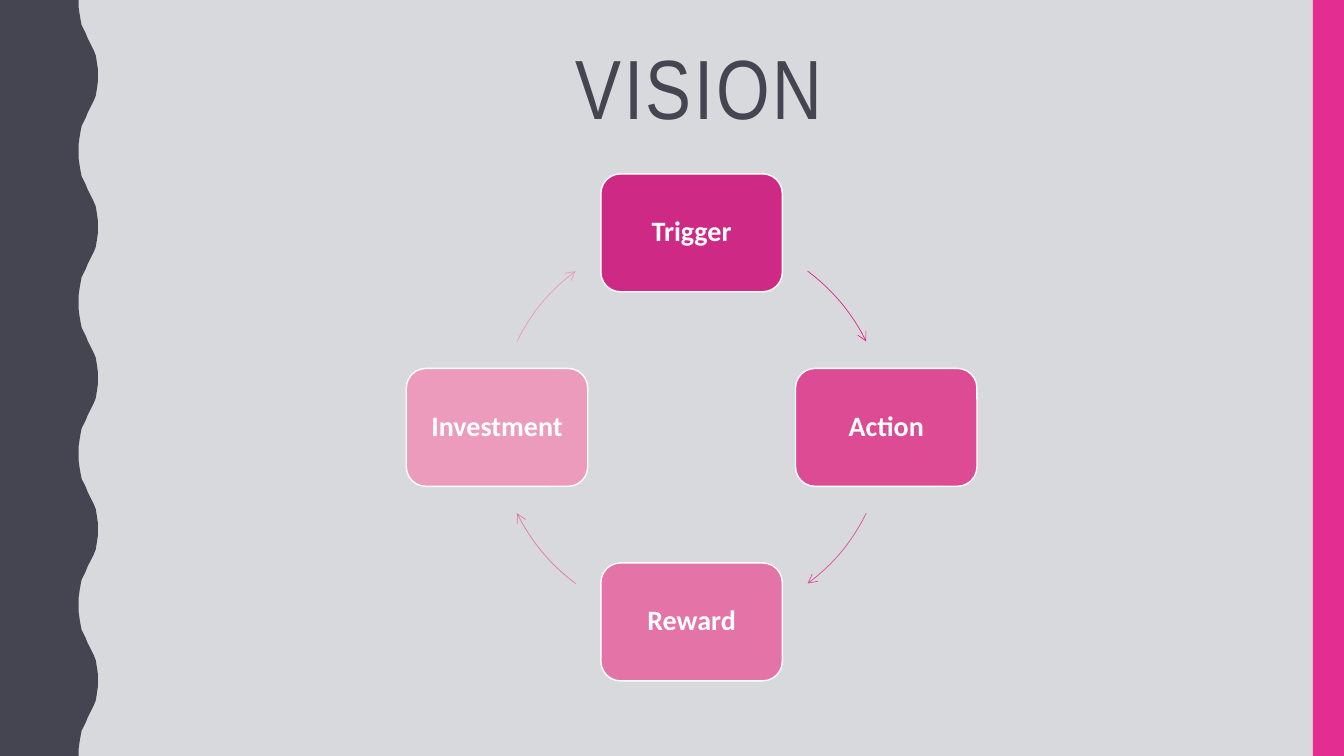
from lxml.etree import SubElement
from pptx import Presentation
from pptx.dml.color import RGBColor
from pptx.enum.shapes import MSO_SHAPE
from pptx.enum.text import MSO_ANCHOR, PP_ALIGN
from pptx.oxml.ns import qn
from pptx.util import Inches, Pt

COLORS = {
    "background": "D8D9DC",
    "dark": "454551",
    "accent": "E32D91",
    "white": "FFFFFF",
}
# Label, box fill, colour of the arrow leaving the box, arrow start and end in degrees
STAGES = [
    ("Trigger", "CE2984", "D92B8B", 306.6, 333.8),
    ("Action", "DC4B94", "DF5098", 26.2, 53.4),
    ("Reward", "E473A7", "E575A8", 126.6, 153.8),
    ("Investment", "EC9BBC", "EC9ABC", 206.2, 233.4),
]
DIRECTIONS = [(0, -1), (1, 0), (0, 1), (-1, 0)]
# Crest profile from trough to peak: x and distance down
HALF_WAVE = [
    (0.78, 0), (0.78, 0.07), (0.79, 0.14), (0.8, 0.2), (0.81, 0.25),
    (0.83, 0.29), (0.85, 0.33), (0.87, 0.38), (0.89, 0.42), (0.91, 0.46),
    (0.93, 0.5), (0.95, 0.55), (0.96, 0.61), (0.97, 0.68), (0.97, 0.75),
]
WAVE_LENGTH = 1.5
NODE_WIDTH, NODE_HEIGHT = 1.8, 1.17


def rgb(value):
    return RGBColor.from_string(value)


def paint(shape, fill):
    shape.shadow.inherit = False
    shape.fill.solid()
    shape.fill.fore_color.rgb = rgb(fill)
    shape.line.fill.background()


def add_wavy_band(slide, height):
    wave = HALF_WAVE + [(x, WAVE_LENGTH - y) for x, y in HALF_WAVE[-2:0:-1]]
    edge = [(x, y + WAVE_LENGTH * number)
            for number in range(round(height / WAVE_LENGTH)) for x, y in wave]
    corners = [(HALF_WAVE[0][0], height), (0, height)]
    builder = slide.shapes.build_freeform(0, 0)
    builder.add_line_segments([(Inches(x), Inches(y)) for x, y in edge + corners], close=True)
    paint(builder.convert_to_shape(), COLORS["dark"])


def add_side_bar(slide, left, top, width, height):
    bar = slide.shapes.add_shape(
        MSO_SHAPE.RECTANGLE, Inches(left), Inches(top), Inches(width), Inches(height))
    paint(bar, COLORS["accent"])


def write_text(frame, text, font_name, size, color, bold=False):
    frame.word_wrap = True
    paragraph = frame.paragraphs[0]
    paragraph.text = text
    paragraph.alignment = PP_ALIGN.CENTER
    paragraph.line_spacing = 0.9
    font = paragraph.font
    font.name, font.size, font.bold = font_name, Pt(size), bold
    font.color.rgb = rgb(color)
    return paragraph


def add_title(slide, text, left, top, width, height):
    box = slide.shapes.add_textbox(Inches(left), Inches(top), Inches(width), Inches(height))
    paragraph = write_text(box.text_frame, text, "Arial Narrow", 60, COLORS["dark"])
    paragraph.runs[0].font._element.set("spc", "200")


def add_node(slide, label, fill, center_x, center_y):
    node = slide.shapes.add_shape(
        MSO_SHAPE.ROUNDED_RECTANGLE,
        Inches(center_x - NODE_WIDTH / 2), Inches(center_y - NODE_HEIGHT / 2),
        Inches(NODE_WIDTH), Inches(NODE_HEIGHT))
    paint(node, fill)
    node.line.color.rgb = rgb(COLORS["white"])
    node.line.width = Pt(1)
    frame = node.text_frame
    frame.margin_left = frame.margin_right = Inches(0.14)
    frame.margin_top = frame.margin_bottom = Inches(0.14)
    frame.vertical_anchor = MSO_ANCHOR.MIDDLE
    write_text(frame, label, "Calibri", 20, COLORS["white"], bold=True)


def add_arc_arrow(slide, color, left, top, diameter, start, end):
    arc = slide.shapes.add_shape(
        MSO_SHAPE.ARC, Inches(left), Inches(top), Inches(diameter), Inches(diameter))
    arc.shadow.inherit = False
    arc.fill.background()
    # An adjustment of 1.0 is 100000 units, and a degree is 60000 units
    arc.adjustments[0] = start * 0.6
    arc.adjustments[1] = end * 0.6
    arc.line.color.rgb = rgb(color)
    arc.line.width = Pt(0.5)
    SubElement(arc.line._get_or_add_ln(), qn("a:tailEnd"), type="arrow")


def add_cycle(slide, left, top, diameter):
    """Place the stages clockwise on a circle, each followed by its arrow."""
    radius = diameter / 2
    for (label, fill, arrow, start, end), (across, down) in zip(STAGES, DIRECTIONS):
        add_node(slide, label, fill,
                 left + radius * (1 + across), top + radius * (1 + down))
        add_arc_arrow(slide, arrow, left, top, diameter, start, end)


def main():
    presentation = Presentation()
    presentation.slide_width, presentation.slide_height = Inches(13.33), Inches(7.5)
    slide = presentation.slides.add_slide(presentation.slide_layouts[6])
    slide.background.fill.solid()
    slide.background.fill.fore_color.rgb = rgb(COLORS["background"])
    add_wavy_band(slide, 7.5)
    add_side_bar(slide, 13.02, 0, 0.31, 7.5)
    add_title(slide, "VISION", 1.37, 0.42, 11.13, 1.63)
    add_cycle(slide, 4.93, 2.31, 3.86)
    presentation.save("out.pptx")


if __name__ == "__main__":
    main()
